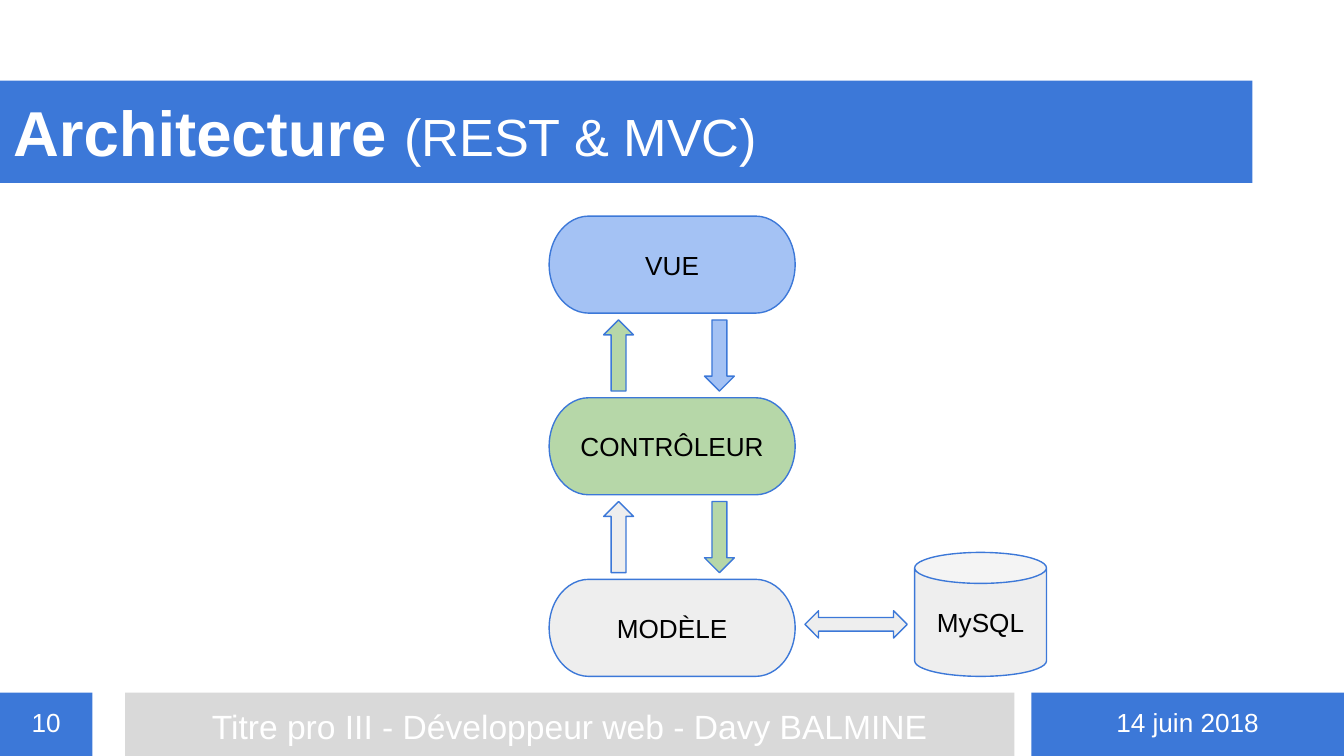
from pptx import Presentation
from pptx.dml.color import RGBColor as RGB
from pptx.enum.shapes import MSO_SHAPE as Kind
from pptx.enum.text import MSO_ANCHOR as Anchor, PP_ALIGN as Align
from pptx.util import Pt

HEX = {
    "blue": "3C78D8", "sky": "A4C2F4", "green": "B6D7A8", "pale": "EEEEEE",
    "gray": "D9D9D9", "white": "FFFFFF", "black": "000000",
}


def color(name):
    return RGB.from_string(HEX[name])


def draw(slide, kind, box, fill, line=None):
    shape = slide.shapes.add_shape(kind, *(Pt(v) for v in box))
    shape.shadow.inherit = False
    shape.fill.solid()
    shape.fill.fore_color.rgb = color(fill)
    if line:
        shape.line.color.rgb = color(line)
        shape.line.width = Pt(0.75)
    else:
        shape.line.fill.background()
    return shape


def write(shape, text, size=14, ink="black", bold=False,
          align=Align.CENTER, anchor=Anchor.MIDDLE):
    """Append a run to the shape's paragraph."""
    frame = shape.text_frame
    frame.word_wrap = True
    frame.vertical_anchor = anchor
    frame.margin_left = frame.margin_right = Pt(7.2)
    frame.margin_top = frame.margin_bottom = Pt(7.2)
    para = frame.paragraphs[0]
    para.alignment = align
    run = para.add_run()
    run.text = text
    font = run.font
    font.name, font.size, font.bold = "Arial", Pt(size), bold
    font.color.rgb = color(ink)


def title(slide, box):
    bar = draw(slide, Kind.RECTANGLE, box, "blue")
    look = dict(ink="white", align=Align.LEFT, anchor=Anchor.BOTTOM)
    write(bar, "Architecture ", size=34, bold=True, **look)
    write(bar, "(REST & MVC)", size=28, **look)


def footer(slide, box):
    left, top, width, height = box
    parts = [
        (0, 49.5, "blue", "10", 14),
        (67, 476.5, "gray", "Titre pro III - Développeur web - Davy BALMINE", 18),
        (552.5, width - 552.5, "blue", "14 juin 2018", 14),
    ]
    for x, wide, fill, text, size in parts:
        bar = draw(slide, Kind.RECTANGLE, (left + x, top, wide, height), fill)
        write(bar, text, size=size, ink="white", anchor=Anchor.TOP)


def layers(slide, box):
    """Stack the three layers, with a pair of arrows in each gap."""
    left, top, width, height = box
    rows = [("VUE", "sky"), ("CONTRÔLEUR", "green"), ("MODÈLE", "pale")]
    tall = 52
    step = (height - tall) / (len(rows) - 1)
    for i, (text, fill) in enumerate(rows):
        y = top + i * step
        node = draw(slide, Kind.FLOWCHART_TERMINATOR,
                    (left, y, width, tall), fill, "blue")
        write(node, text)
        if i + 1 < len(rows):
            below = rows[i + 1][1]
            for x, tint, turn in [(29.2, below, 0), (83.2, fill, 180)]:
                arrow = draw(slide, Kind.UP_ARROW,
                             (left + x, y + tall + 3.6, 16, step - tall - 7.2),
                             tint, "blue")
                arrow.rotation = turn


def store(slide, box):
    """Draw the database and the two-way arrow that leads to it."""
    left, top, width, height = box
    wide = 70.6
    can = draw(slide, Kind.CAN, (left + width - wide, top, wide, height),
               "pale", "blue")
    can.adjustments[0] = 0.25
    write(can, "MySQL")
    draw(slide, Kind.LEFT_RIGHT_ARROW,
         (left, top + 31.2, width - wide - 4, 14.6), "pale", "blue")


def main():
    deck = Presentation()
    deck.slide_width, deck.slide_height = Pt(720), Pt(405)
    slide = deck.slides.add_slide(deck.slide_layouts[6])
    title(slide, (0, 43.2, 671, 54.8))
    footer(slide, (0, 371, 720, 34))
    layers(slide, (294.2, 115.8, 131.8, 246.6))
    store(slide, (431.2, 296, 129.4, 66.4))
    deck.save("out.pptx")


if __name__ == "__main__":
    main()
